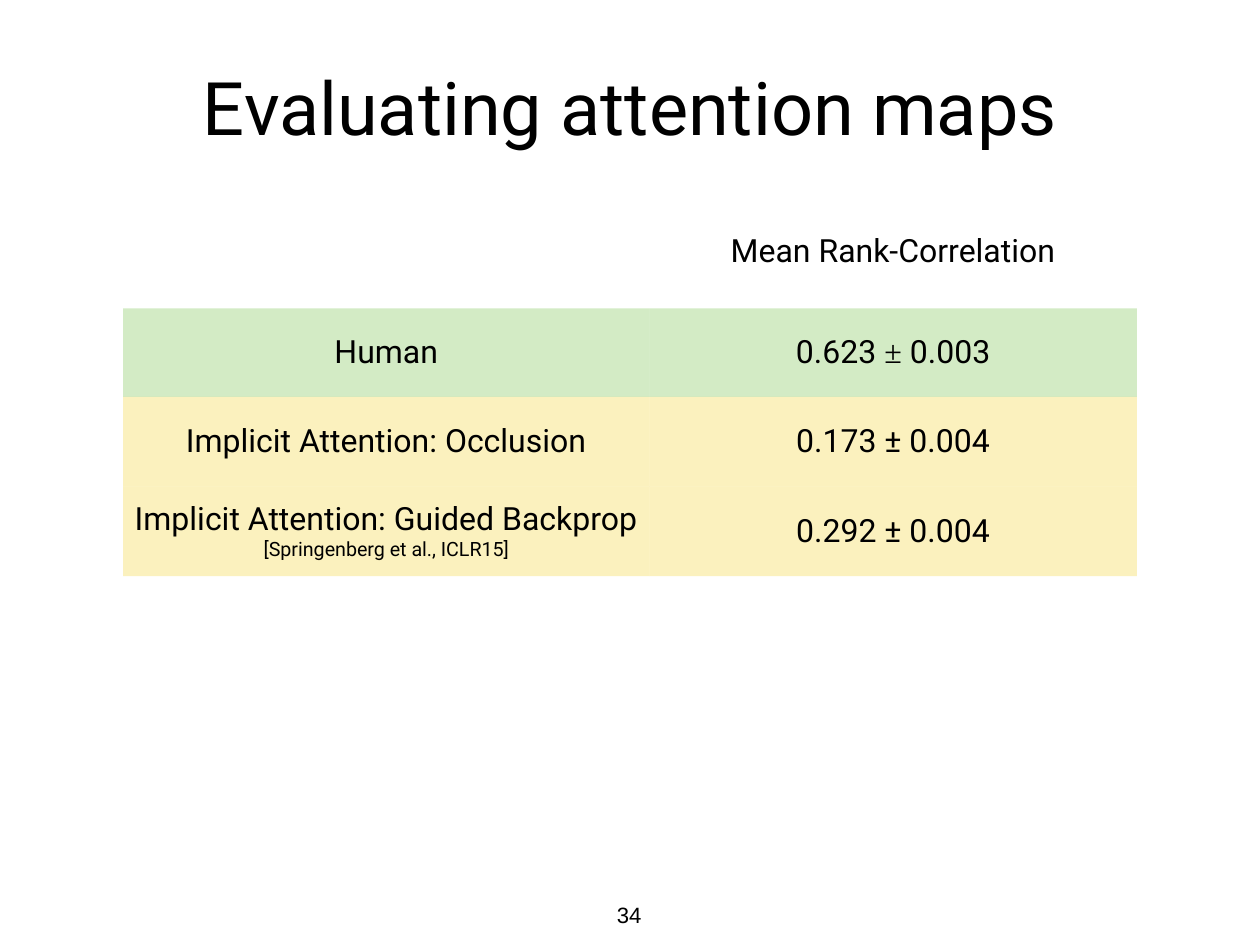
from lxml import etree
from pptx import Presentation
from pptx.dml.color import RGBColor
from pptx.enum.text import MSO_ANCHOR, PP_ALIGN
from pptx.oxml.ns import qn
from pptx.util import Cm, Pt

CENTER = PP_ALIGN.CENTER
MIDDLE = MSO_ANCHOR.MIDDLE
TOP = MSO_ANCHOR.TOP
TITLE_ONLY = 5
MARGIN = Cm(0.15)
NO_GRID_STYLE = "{2D5ABB26-0587-4C30-8999-92F81FD0307C}"
GREEN = "70BF41"
YELLOW = "F5D328"
COLUMN_WIDTHS = (15.09, 13.97)
ROW_HEIGHTS = (3.28, 2.54, 2.57, 2.57, 2.46, 2.46)

TABLE_ROWS = [
    (None, "", "Mean Rank-Correlation"),
    (GREEN, "Human", [("0.623 ", {}), ("± ", {"font": "Times New Roman"}), ("0.003", {})]),
    (YELLOW, "Implicit Attention: Occlusion", "0.173 ± 0.004"),
    (YELLOW, [("Implicit Attention: Guided Backprop", {}), ("\n", {}),
              ("[Springenberg et al., ICLR15]", {"size": 16})], "0.292 ± 0.004"),
    (None, "", ""),
    (None, "", ""),
]


def color(value):
    """Turn a hex string into a colour."""
    return RGBColor.from_string(value)


def add_text(paragraph, text, size=26, font="Roboto", fill="000000"):
    """Append one formatted run, or a line break, to a centred paragraph."""
    paragraph.alignment = CENTER
    if text == "\n":
        paragraph.add_line_break()
        return
    run = paragraph.add_run()
    run.text = text
    run.font.size = Pt(size)
    run.font.name = font
    run.font.color.rgb = color(fill)


def set_margins(target):
    """Give a text frame or a table cell its equal inner margins."""
    target.margin_left = target.margin_right = MARGIN
    target.margin_top = target.margin_bottom = MARGIN


def add_title(slide, text):
    """Place and format the title placeholder."""
    title = slide.shapes.title
    title.left, title.top = Cm(2.64), Cm(0.05)
    title.width, title.height = Cm(30.84), Cm(6)
    frame = title.text_frame
    frame.vertical_anchor = MIDDLE
    set_margins(frame)
    add_text(frame.paragraphs[0], text, size=60)


def add_page_number(slide, text):
    """Add the page number at the foot of the slide."""
    box = slide.shapes.add_textbox(Cm(17.5), Cm(25.7), Cm(1.07), Cm(1.07))
    frame = box.text_frame
    frame.word_wrap = False
    frame.vertical_anchor = TOP
    set_margins(frame)
    add_text(frame.paragraphs[0], text, size=18, font="Arial")


def fill_cell(cell, fill, opacity=30):
    """Fill a cell with a translucent colour, or leave it clear."""
    if fill is None:
        cell.fill.background()
        return
    cell.fill.solid()
    cell.fill.fore_color.rgb = color(fill)
    for node in cell._tc.tcPr.iter(qn("a:srgbClr")):
        etree.SubElement(node, qn("a:alpha")).set("val", str(opacity * 1000))


def add_results_table(slide):
    """Add the table of rank correlations."""
    frame = slide.shapes.add_table(
        len(ROW_HEIGHTS), len(COLUMN_WIDTHS), Cm(3.53), Cm(5.56),
        Cm(sum(COLUMN_WIDTHS)), Cm(sum(ROW_HEIGHTS)))
    table = frame.table
    table.first_row = table.horz_banding = False
    for style in table._tbl.iter(qn("a:tableStyleId")):
        style.text = NO_GRID_STYLE
    for column, width in zip(table.columns, COLUMN_WIDTHS):
        column.width = Cm(width)
    for row, height, (fill, *contents) in zip(table.rows, ROW_HEIGHTS, TABLE_ROWS):
        row.height = Cm(height)
        for cell, content in zip(row.cells, contents):
            cell.vertical_anchor = MIDDLE
            set_margins(cell)
            fill_cell(cell, fill)
            runs = [(content, {})] if isinstance(content, str) else content
            for text, style in runs:
                if text:
                    add_text(cell.text_frame.paragraphs[0], text, **style)


def main():
    """Build the slide and save it."""
    presentation = Presentation()
    presentation.slide_width = Cm(36.12)
    presentation.slide_height = Cm(27.1)
    slide = presentation.slides.add_slide(presentation.slide_layouts[TITLE_ONLY])
    add_title(slide, "Evaluating attention maps")
    add_page_number(slide, "34")
    add_results_table(slide)
    presentation.save("out.pptx")


if __name__ == "__main__":
    main()
